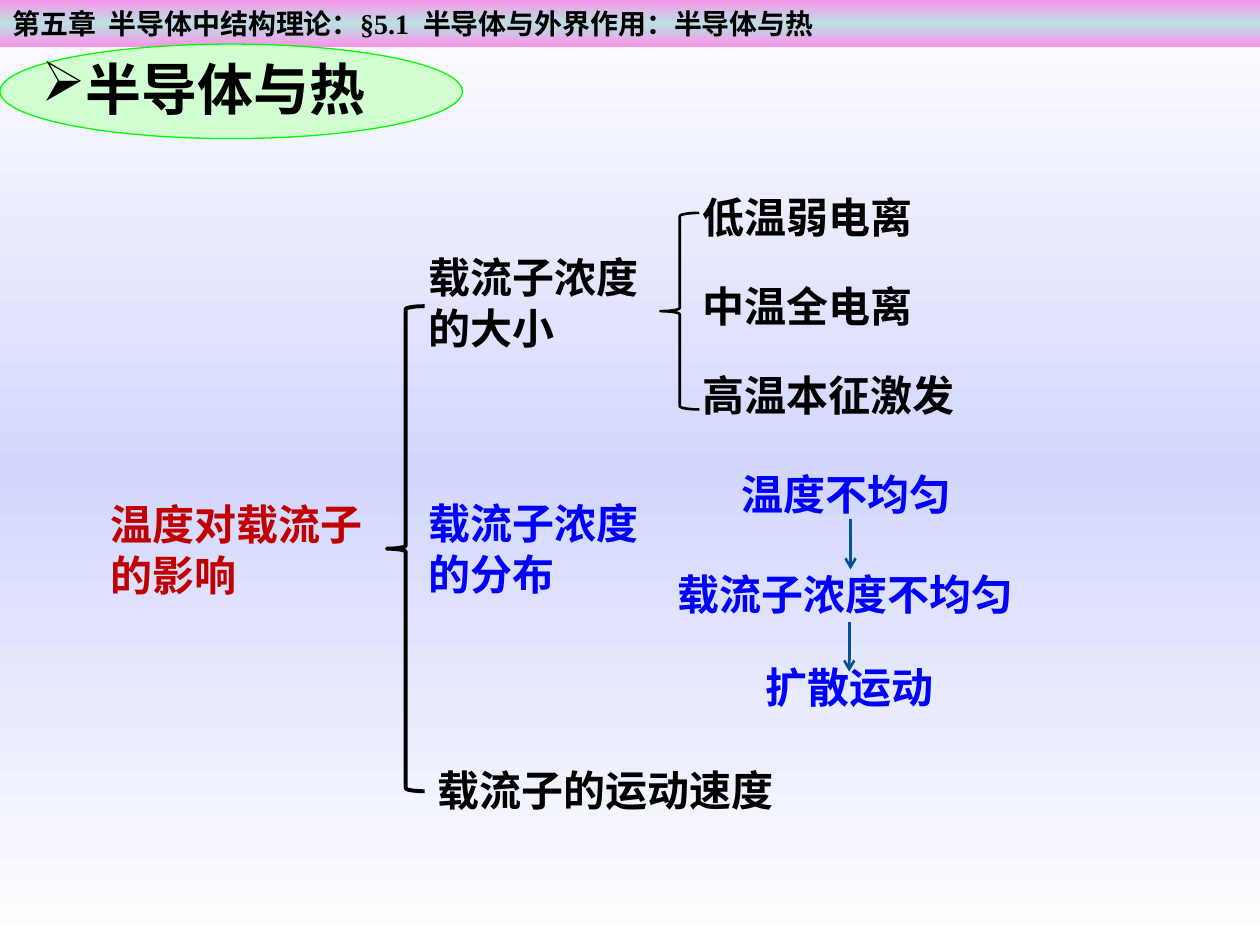
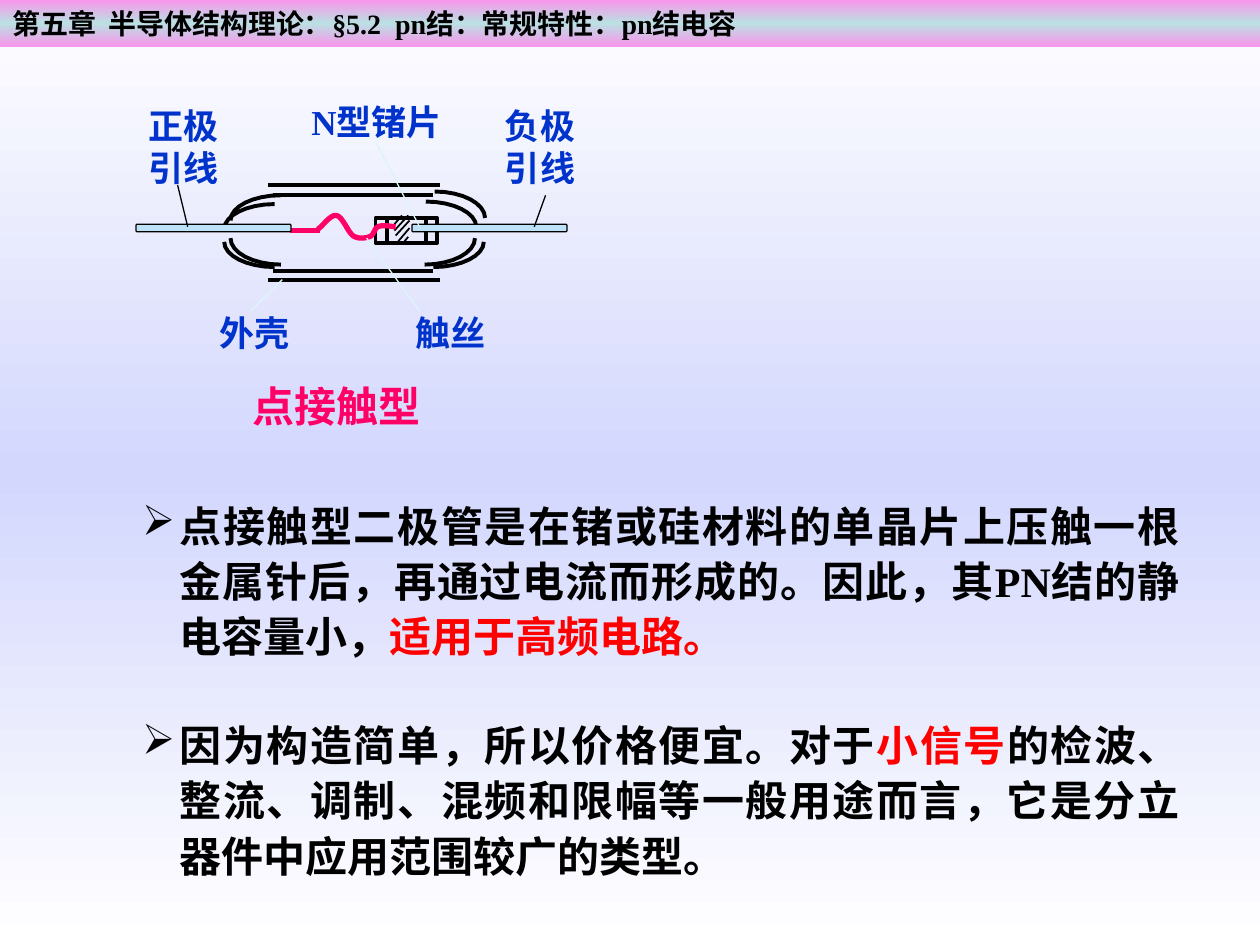
import copy

import pptx
import pptx.util
import pptx.dml.color
import pptx.enum.shapes
import pptx.enum.text
import pptx.oxml
import pptx.oxml.ns

WIDTH, HEIGHT = 10, 7.5
BAND_H = 0.37
SERIF, SANS = "Times New Roman", "Noto Sans CJK SC"
COLORS = {
    "black": "000000", "white": "FFFFFF", "lavender": "D3D7FD",
    "pink": "F896EA", "teal": "BBE0E3", "mint": "D1FFD1", "green": "00FF00",
    "dark_red": "C00000", "blue": "0000FF", "steel": "065093",
    "red": "FF0000", "magenta": "FF0066", "label": "0033CC",
    "lead": "BDE2F7", "pale": "DBF5F9",
}

HEAT_HEADER = [("第五章  半导体中结构理论：§5.1  半导体与外界作用：半导体与热", "black", SERIF)]
HEAT_TITLE = "半导体与热"
HEAT_TEXTS = [
    ("温度对载流子的影响", "dark_red", (0.78, 3.91, 2.28, 0.91)),
    ("载流子浓度的大小", "black", (3.3, 1.95, 2.02, 0.91)),
    ("载流子浓度的分布", "blue", (3.3, 3.9, 2.05, 0.91)),
    ("温度不均匀", "blue", (5.79, 3.67, 2.16, 0.51)),
    ("载流子浓度不均匀", "blue", (5.28, 4.46, 3.49, 0.5)),
    ("扩散运动", "blue", (5.98, 5.2, 1.99, 0.51)),
    ("载流子的运动速度", "black", (3.37, 6.02, 3.15, 0.51)),
]
IONIZATION = ["低温弱电离", "中温全电离", "高温本征激发"]
IONIZATION_LEFT, IONIZATION_TOP, IONIZATION_STEP = 5.48, 1.47, 0.705
BRACES = [((3.07, 2.43, 0.3, 3.85), 2.25), ((5.24, 1.69, 0.31, 1.56), 1.5)]
ARROWS = [(6.75, 4.12, 6.75, 4.52), (6.74, 4.94, 6.74, 5.33)]

DIODE_HEADER = [("第五章  半导体结构理论：", "black", SANS),
                ("§5.2  pn结：常规特性：pn结电容", "black", SERIF)]
DIODE_CAPTION = ("点接触型", "magenta", (1.91, 2.97, 2, 0.5))
DIODE_LABELS = [
    (["正极", "引线"], "l", (1.08, 0.78, 1.17, 0.77)),
    (["负极", "引线"], "l", (3.91, 0.78, 1.17, 0.77)),
    (["N型锗片"], "ctr", (2.16, 0.75, 1.66, 0.43)),
    (["触丝"], "ctr", (2.99, 2.42, 1.17, 0.43)),
    (["外壳"], "ctr", (1.62, 2.42, 0.8, 0.43)),
]
DIODE_NOTES = [
    (3.88, [("点接触型二极管是在锗或硅材料的单晶片上压触一根金属针后，"
             "再通过电流而形成的。因此，其PN结的静电容量小，", "black", SERIF),
            ("适用于高频电路。", "red", SERIF)]),
    (5.62, [("因为构造简单，所以价格便宜。对于", "black", SERIF),
            ("小信号", "red", SERIF),
            ("的检波、整流、调制、混频和限幅等一般用途而言，"
             "它是分立器件中应用范围较广的类型。", "black", SERIF)]),
]
SHELL_LINES = [(x1, y, x2, y) for x1, x2, y in
               [(2.17, 3.44, 2.15), (2.17, 3.44, 1.55), (2.13, 3.49, 2.22), (2.13, 3.49, 1.47)]]
SHELL_CORNERS = [
    (1.83, 1.89, 2.23, 2.1), (1.83, 1.75, 2.23, 1.55),
    (3.77, 1.89, 3.37, 2.1), (3.78, 1.8, 3.38, 1.6),
    (1.78, 1.92, 2.18, 2.12), (1.78, 1.82, 2.18, 1.62),
    (3.84, 1.92, 3.44, 2.12), (3.85, 1.73, 3.45, 1.52),
]
CRYSTAL_FRAMES = [(3.07, 1.73, 0.4, 0.2), (2.98, 1.73, 0.4, 0.2)]
HATCHING = [(3.13, 1.78, 3.19, 1.71), (3.13, 1.83, 3.24, 1.71), (3.14, 1.87, 3.25, 1.75),
            (3.14, 1.94, 3.25, 1.81), (3.19, 1.94, 3.24, 1.88)]
WHISKER_STEM = (2.3, 1.83, 2.54, 1.83)
WHISKER = [(2.52, 1.82), (2.55, 1.81), (2.62, 1.7), (2.67, 1.71),
           (2.72, 1.72), (2.76, 1.84), (2.8, 1.87), (2.84, 1.9), (2.9, 1.89), (2.93, 1.88),
           (2.97, 1.87), (2.97, 1.81), (3, 1.8), (3.04, 1.78), (3.11, 1.8), (3.14, 1.8)]
LEADS = [(1.08, 1.78, 1.23, 0.06), (3.27, 1.78, 1.23, 0.06)]
POINTERS = [
    ((1.49, 1.8, 1.41, 1.47), "black"), ((4.24, 1.8, 4.33, 1.55), "black"),
    ((2.91, 1.89, 3.33, 2.47), "pale"), ((2.99, 1.14, 3.33, 1.8), "pale"),
    ((2.24, 2.22, 1.99, 2.47), "pale"),
]

SHAPE = pptx.enum.shapes.MSO_SHAPE
ANCHOR = pptx.enum.text.MSO_ANCHOR
ALIGN = {"l": pptx.enum.text.PP_ALIGN.LEFT, "ctr": pptx.enum.text.PP_ALIGN.CENTER,
         "just": pptx.enum.text.PP_ALIGN.JUSTIFY}
qn = pptx.oxml.ns.qn


def rgb(name):
    return pptx.dml.color.RGBColor.from_string(COLORS[name])


def inches(values):
    return [pptx.util.Inches(v) for v in values]


def add_child(parent, tag, **attributes):
    child = parent.makeelement(qn(tag), attributes)
    parent.append(child)
    return child


def gradient(fill, element, edge, middle):
    fill.gradient()
    fill.gradient_angle = 270
    stops = next(element.iter(qn("a:gsLst")))
    stops.append(copy.deepcopy(stops[0]))
    for stop, position, color in zip(fill.gradient_stops, (0, 0.5, 1), (edge, middle, edge)):
        stop.position = position
        stop.color.rgb = rgb(color)


def style(sp, fill=None, line=None, width=0.75):
    sp.shadow.inherit = False
    if fill:
        sp.fill.solid()
        sp.fill.fore_color.rgb = rgb(fill)
    else:
        sp.fill.background()
    if line:
        sp.line.color.rgb = rgb(line)
        sp.line.width = pptx.util.Pt(width)
    else:
        sp.line.fill.background()
    return sp


def shape(s, kind, box, fill=None, line=None, width=0.75):
    return style(s.shapes.add_shape(kind, *inches(box)), fill, line, width)


def line(s, ends, color, width, arrow=False):
    straight = pptx.enum.shapes.MSO_CONNECTOR.STRAIGHT
    cn = s.shapes.add_connector(straight, *inches(ends))
    cn.line.color.rgb = rgb(color)
    cn.line.width = pptx.util.Pt(width)
    if arrow:
        add_child(cn.line._get_or_add_ln(), "a:tailEnd", type="arrow")
    add_child(cn._element.spPr, "a:effectLst")


def curve(s, points, color, width, steps=8):
    """Draw a chain of cubic curves through every third point."""
    track = [points[0]]
    for i in range(0, len(points) - 1, 3):
        for k in range(1, steps + 1):
            t = k / steps
            weights = ((1 - t) ** 3, 3 * t * (1 - t) ** 2, 3 * t * t * (1 - t), t ** 3)
            track.append(tuple(sum(w * p[axis] for w, p in zip(weights, points[i:i + 4]))
                               for axis in (0, 1)))
    track = [inches(point) for point in track]
    builder = s.shapes.build_freeform(*track[0])
    builder.add_line_segments(track[1:], close=False)
    style(builder.convert_to_shape(), None, color, width)


def write(sp, paragraphs, size, align="l", anchor=ANCHOR.TOP, bullet=False, indent=0, spacing=None):
    tf = sp.text_frame
    tf.word_wrap = True
    tf.vertical_anchor = anchor
    for i, runs in enumerate(paragraphs):
        p = tf.add_paragraph() if i else tf.paragraphs[0]
        p.alignment = ALIGN[align]
        if spacing:
            p.line_spacing = spacing
        if bullet:
            pPr = p._p.get_or_add_pPr()
            pPr.set("marL", str(pptx.util.Inches(indent)))
            pPr.set("indent", str(-pptx.util.Inches(indent)))
            add_child(pPr, "a:buChar", char="➢")
        for text, color, font in runs:
            r = p.add_run()
            r.text = text
            r.font.size = pptx.util.Pt(size)
            r.font.bold = True
            r.font.color.rgb = rgb(color)
            r.font.name = font
            add_child(r._r.get_or_add_rPr(), "a:ea", typeface=SANS)


def text(s, box, paragraphs, size, **options):
    write(s.shapes.add_textbox(*inches(box)), paragraphs, size, **options)


def new_slide(prs, header):
    s = prs.slides.add_slide(prs.slide_layouts[6])
    gradient(s.background.fill, s._element, "white", "lavender")
    sp = shape(s, SHAPE.RECTANGLE, (0, 0, WIDTH, BAND_H))
    gradient(sp.fill, sp._element, "pink", "teal")
    write(sp, [header], 16)
    return s


def heat_slide(prs):
    s = new_slide(prs, HEAT_HEADER)
    shape(s, SHAPE.OVAL, (0, 0.35, 3.67, 0.75), "mint", "green")
    text(s, (0.23, 0.38, 3.54, 0.64), [[(HEAT_TITLE, "black", SANS)]], 32,
         anchor=ANCHOR.MIDDLE, bullet=True)
    for box, width in BRACES:
        shape(s, SHAPE.LEFT_BRACE, box, None, "black", width)
    for words, color, box in HEAT_TEXTS:
        text(s, box, [[(words, color, SERIF)]], 24)
    for row, words in enumerate(IONIZATION):
        top = IONIZATION_TOP + row * IONIZATION_STEP
        text(s, (IONIZATION_LEFT, top, 2.5, 0.5), [[(words, "black", SERIF)]], 24)
    for ends in ARROWS:
        line(s, ends, "steel", 1.5, arrow=True)


def diode_slide(prs):
    s = new_slide(prs, DIODE_HEADER)
    words, color, box = DIODE_CAPTION
    text(s, box, [[(words, color, SERIF)]], 24)
    for x1, y1, x2, y2 in SHELL_CORNERS:
        dx, dy = 0.55 * (x2 - x1), 0.55 * (y2 - y1)
        curve(s, [(x1, y1), (x1, y1 + dy), (x2 - dx, y2), (x2, y2)], "black", 2.25)
    for ends in SHELL_LINES:
        line(s, ends, "black", 2.25)
    for box in CRYSTAL_FRAMES:
        shape(s, SHAPE.RECTANGLE, box, None, "black", 2)
    for ends in HATCHING:
        line(s, ends, "black", 1)
    line(s, WHISKER_STEM, "magenta", 3)
    curve(s, WHISKER, "magenta", 3)
    for box in LEADS:
        shape(s, SHAPE.ROUNDED_RECTANGLE, box, "lead", "black")
    for ends, color in POINTERS:
        line(s, ends, color, 0.75)
    for rows, align, box in DIODE_LABELS:
        text(s, box, [[(row, "label", SERIF)] for row in rows], 20,
             align=align, anchor=ANCHOR.MIDDLE)
    for top, runs in DIODE_NOTES:
        text(s, (1.03, top, 8.43, 1.4), [runs], 24,
             align="just", bullet=True, indent=0.3, spacing=1.1)


def main():
    prs = pptx.Presentation()
    prs.slide_width, prs.slide_height = inches((WIDTH, HEIGHT))
    heat_slide(prs)
    diode_slide(prs)
    prs.save("out.pptx")


if __name__ == "__main__":
    main()
